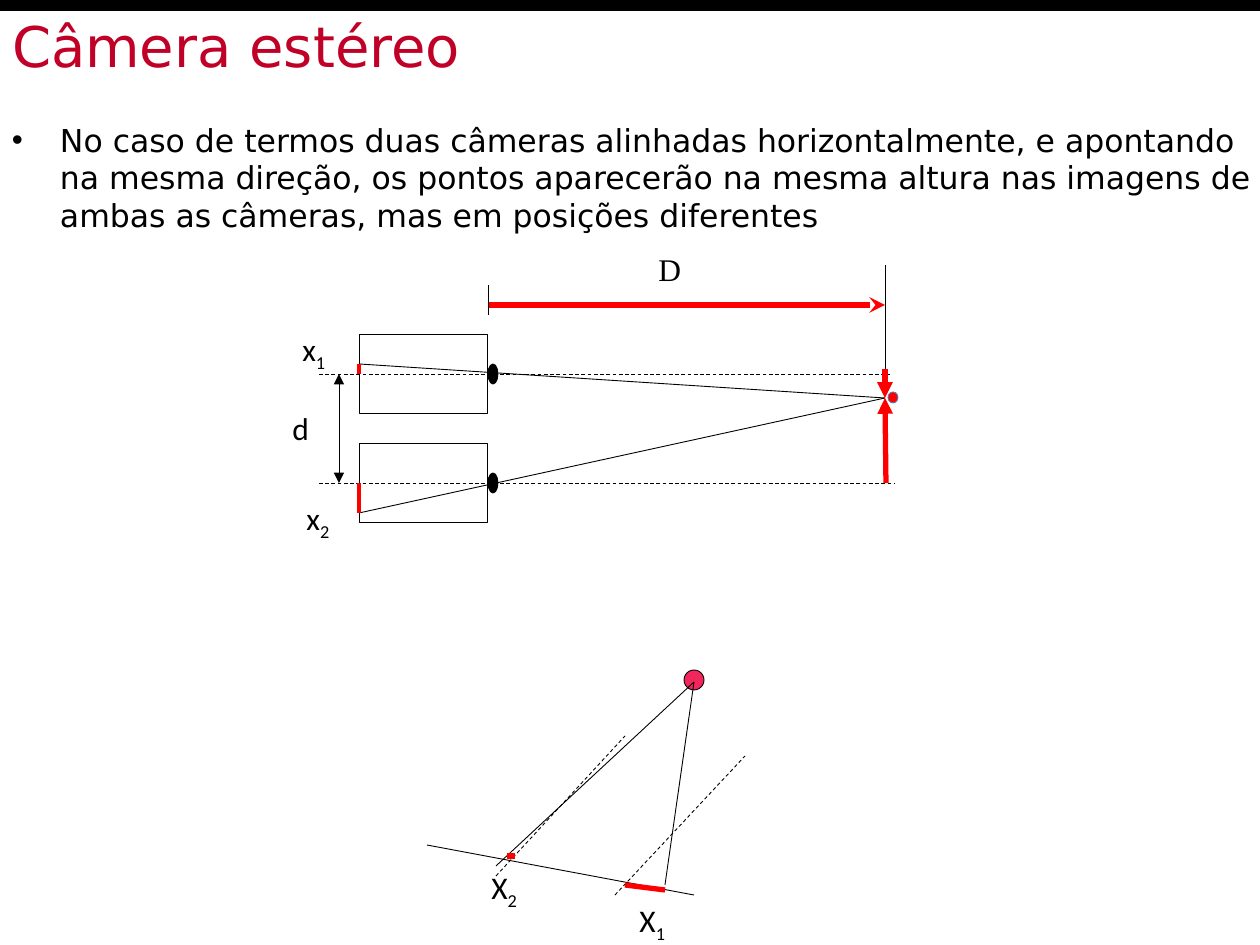
import pptx
import pptx.util
import pptx.dml.color
import pptx.enum.dml
import pptx.enum.shapes
import pptx.enum.text
import pptx.oxml
import pptx.oxml.ns

RGB = pptx.dml.color.RGBColor
KIND = pptx.enum.shapes.MSO_SHAPE
ANCHOR = pptx.enum.text.MSO_ANCHOR
BLACK = RGB(0x00, 0x00, 0x00)
WHITE = RGB(0xFF, 0xFF, 0xFF)
RED = RGB(0xFF, 0x00, 0x00)
WINE = RGB(0xC0, 0x00, 0x26)
PINK = RGB(0xF0, 0x26, 0x5D)
BLUE = RGB(0x4F, 0x81, 0xBD)
SCALE = 914400 / 126


def emu(px):
    """Turn pixels into EMU."""
    return pptx.util.Emu(round(px * SCALE))


def node(parent, tag, **attrs):
    """Append a drawing element with attributes."""
    item = pptx.oxml.parse_xml(f'<a:{tag} {pptx.oxml.ns.nsdecls("a")}/>')
    for key, val in attrs.items():
        item.set(key, val)
    parent.append(item)
    return item


def write(frame, text, sub="", size=18, font="Calibri", color=BLACK):
    """Write text, with an optional subscript, into a frame."""
    para = frame.paragraphs[0]
    for part in filter(None, (text, sub)):
        run = para.add_run()
        run.text = part
        run.font.size = pptx.util.Pt(size)
        run.font.name = font
        run.font.color.rgb = color
    if sub:
        run.font._element.set("baseline", "-25000")
    return para


def label(slide, box, x, y, wide, text, wrap=True, **form):
    """Add a text label inside a region."""
    shape = slide.shapes.add_textbox(
        emu(box[0] + x), emu(box[1] + y), emu(wide), emu(50))
    shape.text_frame.word_wrap = wrap
    write(shape.text_frame, text, **form)


def solid(slide, box, kind, x, y, wide, high, fill, edge=BLACK):
    """Add a filled preset shape inside a region."""
    shape = slide.shapes.add_shape(
        kind, emu(box[0] + x), emu(box[1] + y), emu(wide), emu(high))
    shape.shadow.inherit = False
    shape.fill.solid()
    shape.fill.fore_color.rgb = fill
    if edge is None:
        shape.line.fill.background()
    else:
        shape.line.color.rgb = edge
        shape.line.width = pptx.util.Pt(0.5)


def line(slide, box, start, end, color=BLACK, width=0.5, dash=False,
         head=None, tail=None):
    """Add a straight line inside a region."""
    x, y = box[:2]
    link = slide.shapes.add_connector(
        pptx.enum.shapes.MSO_CONNECTOR.STRAIGHT,
        emu(x + start[0]), emu(y + start[1]),
        emu(x + end[0]), emu(y + end[1]))
    link.line.color.rgb = color
    link.line.width = pptx.util.Pt(width)
    if dash:
        link.line.dash_style = pptx.enum.dml.MSO_LINE.DASH
    pen = link.line._get_or_add_ln()
    for tag, style in (("headEnd", head), ("tailEnd", tail)):
        if style:
            node(pen, tag, type=style)
    node(link._element.spPr, "effectLst")


def fit(shape, box):
    """Place a text shape and set its insets."""
    shape.left, shape.top, shape.width, shape.height = map(emu, box)
    frame = shape.text_frame
    frame.word_wrap = True
    frame.auto_size = pptx.enum.text.MSO_AUTO_SIZE.NONE
    frame.margin_left = frame.margin_right = emu(12)
    frame.margin_top, frame.margin_bottom = emu(11), 0
    return frame


def intro(slide, box):
    """Add the top bar, the title and the bullet."""
    solid(slide, box, KIND.RECTANGLE, 0, 0, 1260, 11, BLACK, edge=None)
    frame = fit(slide.shapes.title, box)
    frame.vertical_anchor = ANCHOR.TOP
    para = write(frame, "Câmera estéreo", size=32, font="DejaVu Sans",
                 color=WINE)
    para.alignment = pptx.enum.text.PP_ALIGN.LEFT
    frame = fit(slide.shapes.add_textbox(0, 0, 0, 0), box)
    frame.vertical_anchor = ANCHOR.BOTTOM
    para = write(
        frame,
        "No caso de termos duas câmeras alinhadas horizontalmente, e "
        "apontando na mesma direção, os pontos aparecerão na mesma altura "
        "nas imagens de ambas as câmeras, mas em posições diferentes",
        font="DejaVu Sans")
    props = para._p.get_or_add_pPr()
    props.set("marL", str(emu(48)))
    props.set("indent", str(-emu(48)))
    node(props, "buFont", typeface="Arial")
    node(props, "buChar", char="•")


def stereo(slide, box):
    """Draw the two aligned cameras and the point they see."""
    back, lens, far = 79, 208, 605
    point = (far, 154)
    cams = ((130, 120, 610), (239, 269, 615))
    for axis, hit, end in cams:
        solid(slide, box, KIND.RECTANGLE, back, axis - 40, 129, 79, WHITE)
    solid(slide, box, KIND.OVAL, 608, 148, 10, 11, RED, edge=BLUE)
    for axis, hit, end in cams:
        solid(slide, box, KIND.OVAL, lens, axis - 10, 10, 20, BLACK)
        line(slide, box, point, (back, hit))
        line(slide, box, (39, axis), (end, axis), dash=True)
        line(slide, box, (back, axis), (back, hit), RED, 2.25)
    line(slide, box, (59, 130), (59, 239), head="triangle", tail="triangle")
    label(slide, box, 0, 159, 43, "d", wrap=False)
    label(slide, box, 14, 249, 66, "x", sub="2")
    label(slide, box, 10, 80, 66, "x", sub="1")
    line(slide, box, (lens, 61), (far, 61), RED, 3, tail="stealth")
    line(slide, box, (far, 140), (far, 21))
    line(slide, box, (lens, 41), (lens, 71))
    label(slide, box, 366, 0, 48, "D", wrap=False, font="Times New Roman")
    line(slide, box, point, (far, 125), RED, 3, head="triangle")
    line(slide, box, (606, 239), point, RED, 3, tail="triangle")


def scene(slide, box):
    """Draw the tilted view of the same point."""
    ball = (267, 12)
    solid(slide, box, KIND.OVAL, 257, 0, 20, 20, PINK)
    line(slide, box, ball, (69, 196))
    line(slide, box, (238, 215), ball)
    line(slide, box, (69, 206), (198, 66), dash=True)
    line(slide, box, (188, 225), (318, 86), dash=True)
    line(slide, box, (0, 175), (267, 225))
    line(slide, box, (198, 215), (238, 220), RED, 3)
    line(slide, box, (80, 186), (88, 186), RED, 3)
    label(slide, box, 200, 225, 57, "X", sub="1")
    label(slide, box, 52, 192, 66, "X", sub="2")


deck = pptx.Presentation()
deck.slide_width, deck.slide_height = emu(1260), emu(945)
page = deck.slides.add_slide(deck.slide_layouts[5])
intro(page, (0, 0, 1275, 234))
stereo(page, (280, 244, 630, 300))
scene(page, (427, 670, 318, 275))
deck.save("out.pptx")
